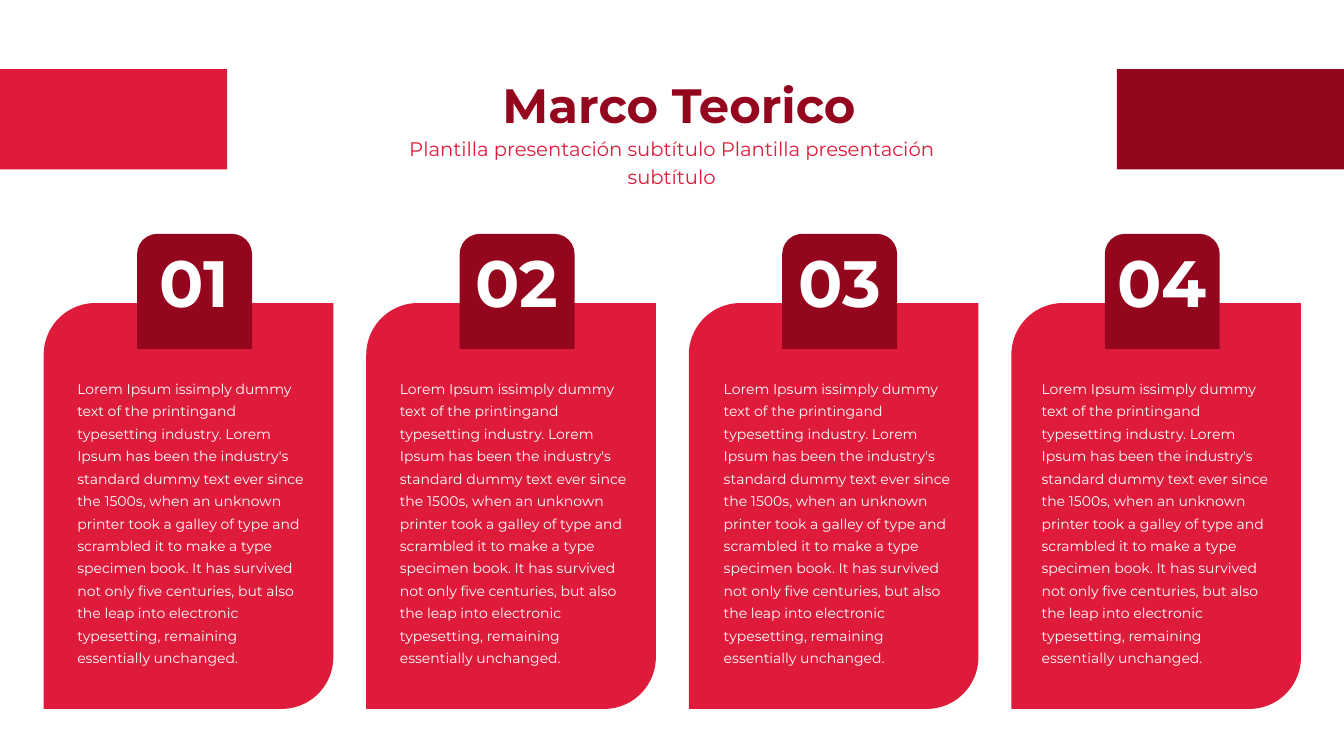
from dataclasses import dataclass

from pptx import Presentation
from pptx.dml.color import RGBColor
from pptx.enum.shapes import MSO_SHAPE as SHAPE
from pptx.enum.text import PP_ALIGN as ALIGN
from pptx.util import Inches, Pt


@dataclass(frozen=True)
class Theme:
    font: str = "Montserrat"
    red: RGBColor = RGBColor(0xDF, 0x1B, 0x3B)
    dark: RGBColor = RGBColor(0x93, 0x06, 0x1E)
    white: RGBColor = RGBColor(0xFF, 0xFF, 0xFF)
    title: float = 51.6
    subtitle: float = 21
    number: float = 70.1
    body: float = 15


T = Theme()
LOREM = (
    "Lorem Ipsum issimply dummy text of the printingand typesetting industry. "
    "Lorem Ipsum has been the industry's standard dummy text ever since the 1500s, "
    "when an unknown printer took a galley of type and scrambled it to make a type "
    "specimen book. It has survived not only ﬁve centuries, but also the leap into "
    "electronic typesetting, remaining essentially unchanged."
)

prs = Presentation()
prs.slide_width, prs.slide_height = Inches(20), Inches(11.25)
s = prs.slides.add_slide(prs.slide_layouts[6])


def add_block(kind, x, y, w, h, color, radius=None):
    """Add a plain filled shape; radius is the rounding of its first corner pair, in inches."""
    sp = s.shapes.add_shape(kind, Inches(x), Inches(y), Inches(w), Inches(h))
    sp.shadow.inherit = False
    sp.fill.solid()
    sp.fill.fore_color.rgb = color
    sp.line.fill.background()
    if radius is not None:
        sp.adjustments[0] = radius / min(w, h)
        sp.adjustments[1] = 0


def add_text(text, x, y, w, h, size, color, leading, align=ALIGN.CENTER, bold=False):
    """Add a one-paragraph text box without insets; leading is in points."""
    tf = s.shapes.add_textbox(Inches(x), Inches(y), Inches(w), Inches(h)).text_frame
    tf.word_wrap = True
    tf.margin_left = tf.margin_right = tf.margin_top = tf.margin_bottom = 0
    p = tf.paragraphs[0]
    p.text = text
    p.alignment = align
    p.line_spacing = Pt(leading)
    p.font.name, p.font.size, p.font.bold = T.font, Pt(size), bold
    p.font.color.rgb = color


# Header
add_block(SHAPE.RECTANGLE, 0, 1.03, 3.38, 1.49, T.red)
add_block(SHAPE.RECTANGLE, 16.62, 1.03, 3.38, 1.49, T.dark)
add_text("Marco Teorico", 4.82, 1.3, 10.57, 0.69, T.title, T.dark, 49.4, bold=True)
add_text("Plantilla presentación subtítulo Plantilla presentación subtítulo",
         5.42, 1.98, 9.15, 0.39, T.subtitle, T.red, 29.4)

# Numbered cards
CARD_LEFT, CARD_STEP = 0.65, 4.8
TAB_OFFSET, TAB_SIZE = 1.39, 1.71
for i, body_x in enumerate((1.15, 5.95, 10.77, 15.5)):
    card_x = CARD_LEFT + i * CARD_STEP
    tab_x = card_x + TAB_OFFSET
    add_block(SHAPE.ROUND_2_DIAG_RECTANGLE, card_x, 4.51, 4.31, 6.04, T.red, 0.77)
    add_block(SHAPE.ROUND_2_SAME_RECTANGLE, tab_x, 3.48, TAB_SIZE, TAB_SIZE, T.dark, 0.3)
    add_text(f"{i + 1:02}", tab_x, 4.28, TAB_SIZE, 0.66, T.number, T.white, 35, bold=True)
    add_text(LOREM, body_x, 5.58, 3.42, 4.32, T.body, T.white, 24, ALIGN.LEFT)

prs.save("out.pptx")
